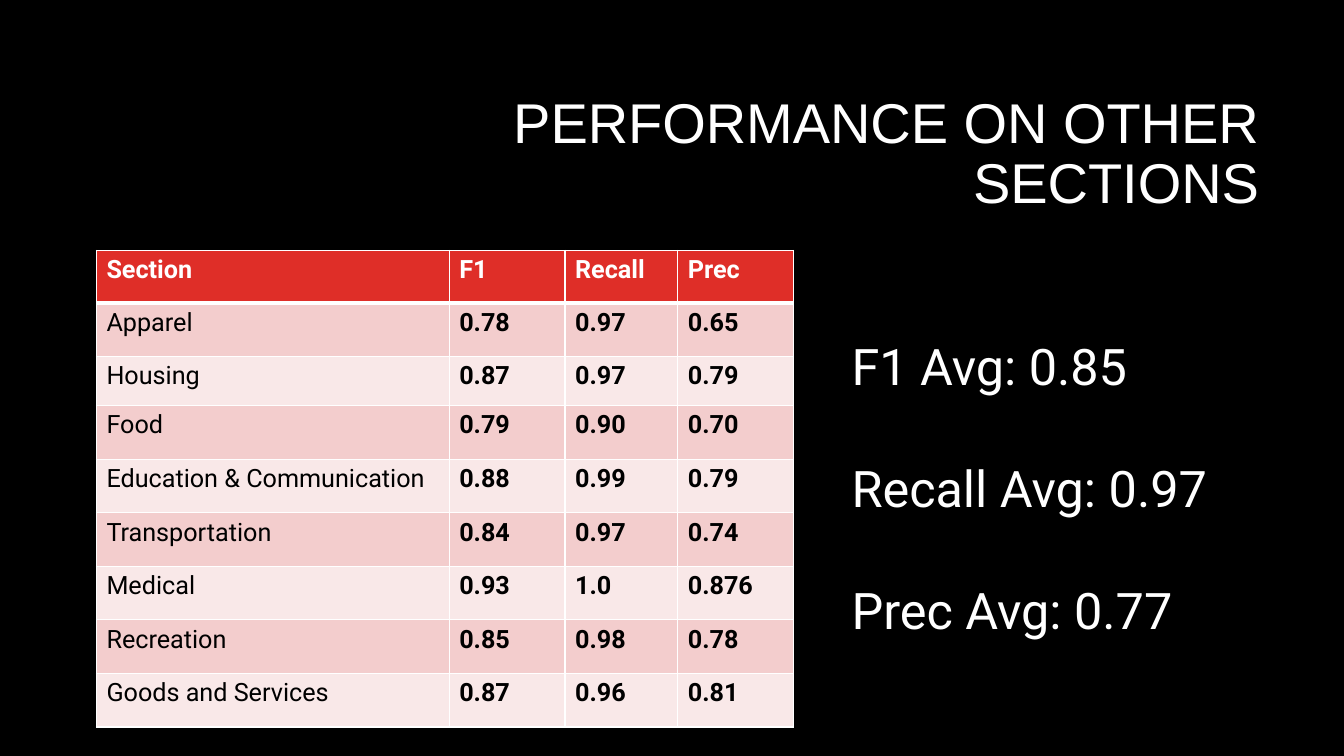
import dataclasses
import typing

import lxml.etree
import pptx
import pptx.dml.color
import pptx.enum.text
import pptx.oxml.ns
import pptx.util

Cm = pptx.util.Cm
Pt = pptx.util.Pt
RGBColor = pptx.dml.color.RGBColor
Align = pptx.enum.text.PP_ALIGN
Anchor = pptx.enum.text.MSO_ANCHOR
qn = pptx.oxml.ns.qn

BLACK = RGBColor(0x00, 0x00, 0x00)
WHITE = RGBColor(0xFF, 0xFF, 0xFF)
RED = RGBColor(0xDF, 0x2E, 0x28)
ROSE = RGBColor(0xF3, 0xCD, 0xCD)
BLUSH = RGBColor(0xF9, 0xE8, 0xE8)

COLUMN_WIDTHS = (8.89, 2.92, 2.84, 2.92)
ROW_HEIGHTS = (1.32, 1.35, 1.24) + (1.35,) * 6
THIN, THICK = 1, 3


@dataclasses.dataclass
class TextBlock:
    lines: tuple[str, ...]
    left: float
    top: float
    width: float
    height: float
    font: dict[str, typing.Any]
    para: dict[str, typing.Any]
    anchor: Anchor = Anchor.TOP


class Score(typing.NamedTuple):
    section: str
    f1: str
    recall: str
    precision: str


SCORES = (
    Score("Section", "F1", "Recall", "Prec"),
    Score("Apparel", "0.78", "0.97", "0.65"),
    Score("Housing", "0.87", "0.97", "0.79"),
    Score("Food", "0.79", "0.90", "0.70"),
    Score("Education & Communication", "0.88", "0.99", "0.79"),
    Score("Transportation", "0.84", "0.97", "0.74"),
    Score("Medical", "0.93", "1.0", "0.876"),
    Score("Recreation", "0.85", "0.98", "0.78"),
    Score("Goods and Services", "0.87", "0.96", "0.81"),
)

TEXT_BLOCKS = (
    TextBlock(("PERFORMANCE ON OTHER SECTIONS",), 8.05, 2.13, 23.93, 3.58,
              {"name": "Arial", "size": Pt(40)},
              {"alignment": Align.RIGHT, "line_spacing": 0.9}, Anchor.MIDDLE),
    TextBlock(("F1 Avg: 0.85", "Recall Avg: 0.97", "Prec Avg: 0.77"),
              21.21, 8.31, 11.07, 7.95,
              {"name": "Roboto", "size": Pt(36)}, {"space_after": Pt(44)}),
)


def apply_format(target: typing.Any, values: dict[str, typing.Any]) -> None:
    for name, value in values.items():
        setattr(target, name, value)


def write_span(para: typing.Any, text: str, color: RGBColor,
               font: dict[str, typing.Any]) -> None:
    span = para.add_run()
    span.text = text
    apply_format(span.font, font)
    span.font.color.rgb = color


def draw_text(page: typing.Any, block: TextBlock) -> None:
    box = page.shapes.add_textbox(Cm(block.left), Cm(block.top),
                                  Cm(block.width), Cm(block.height))
    frame = box.text_frame
    apply_format(frame, {"word_wrap": True, "vertical_anchor": block.anchor})
    for index, line in enumerate(block.lines):
        para = frame.add_paragraph() if index else frame.paragraphs[0]
        apply_format(para, block.para)
        write_span(para, line, WHITE, block.font)


def add_borders(cell: typing.Any, widths: dict[str, int]) -> None:
    properties = cell._tc.get_or_add_tcPr()
    for side, width in widths.items():
        line = lxml.etree.SubElement(properties, qn(f"a:ln{side}"), w=str(Pt(width)))
        fill = lxml.etree.SubElement(line, qn("a:solidFill"))
        lxml.etree.SubElement(fill, qn("a:srgbClr"), val=str(WHITE))


def draw_scores(page: typing.Any) -> None:
    frame = page.shapes.add_table(len(SCORES), len(COLUMN_WIDTHS), Cm(2.43), Cm(6.31),
                                  Cm(sum(COLUMN_WIDTHS)), Cm(sum(ROW_HEIGHTS)))
    table = frame.table
    for column, width in zip(table.columns, COLUMN_WIDTHS):
        column.width = Cm(width)
    for row, height in zip(table.rows, ROW_HEIGHTS):
        row.height = Cm(height)
    for row_index, score in enumerate(SCORES):
        header = row_index == 0
        shade = RED if header else (BLUSH, ROSE)[row_index % 2]
        for column_index, text in enumerate(score):
            cell = table.cell(row_index, column_index)
            # Borders come before the fill in the cell properties
            add_borders(cell, {"L": THIN, "R": THIN,
                               "T": THICK if row_index == 1 else THIN,
                               "B": THICK if header else THIN})
            cell.fill.solid()
            cell.fill.fore_color.rgb = shade
            write_span(cell.text_frame.paragraphs[0], text,
                       WHITE if header else BLACK,
                       {"name": "Roboto", "size": Pt(18),
                        "bold": header or column_index > 0})


def main() -> None:
    deck = pptx.Presentation()
    apply_format(deck, {"slide_width": Cm(33.87), "slide_height": Cm(19.05)})
    page = deck.slides.add_slide(deck.slide_layouts[6])

    # Black background
    page.background.fill.solid()
    page.background.fill.fore_color.rgb = BLACK

    # Score table, title and averages
    draw_scores(page)
    for block in TEXT_BLOCKS:
        draw_text(page, block)

    deck.save("out.pptx")


if __name__ == "__main__":
    main()
